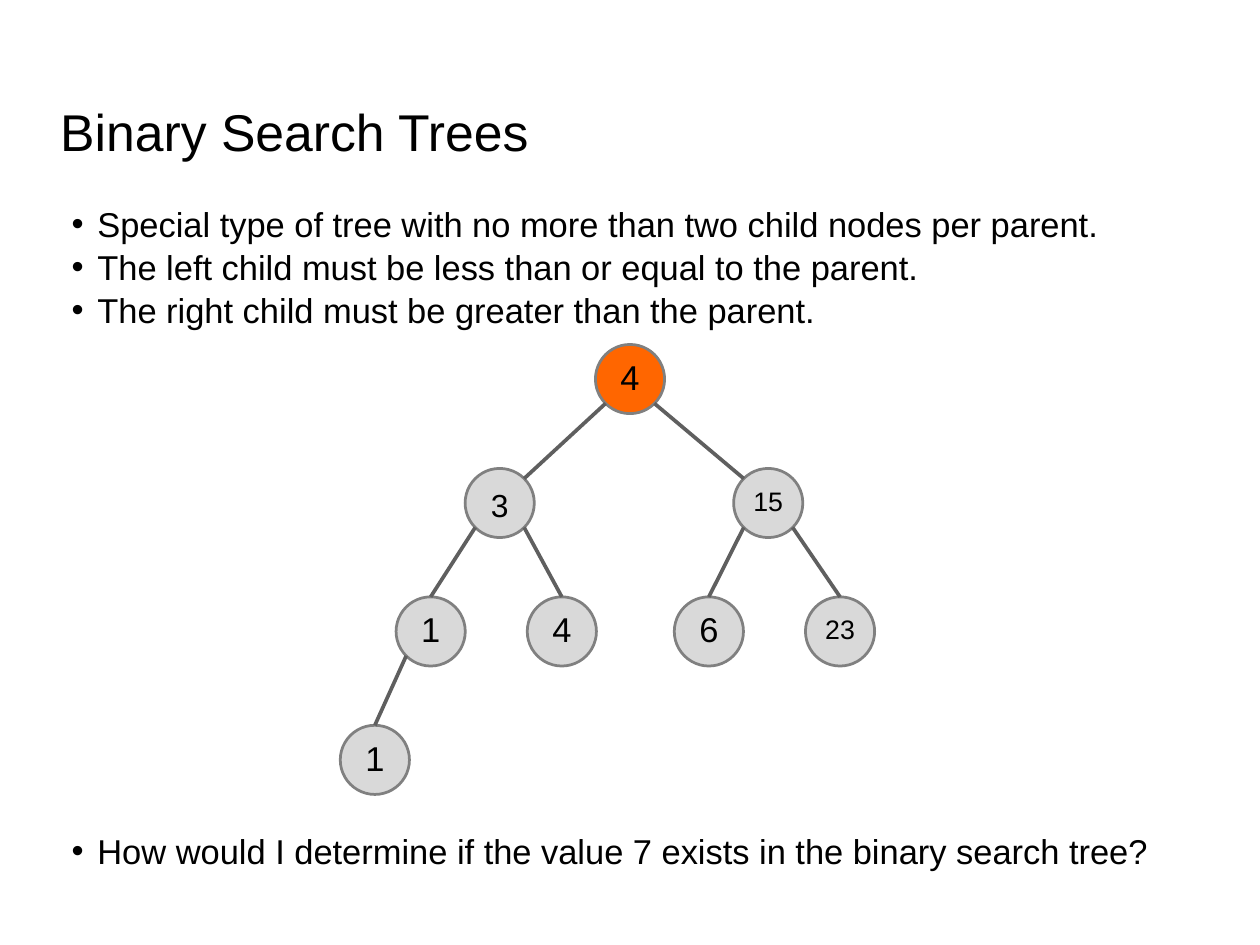
from dataclasses import dataclass
from math import sqrt

from lxml import etree
from pptx import Presentation
from pptx.dml.color import RGBColor
from pptx.enum.shapes import MSO_CONNECTOR, MSO_SHAPE
from pptx.enum.text import MSO_ANCHOR, MSO_AUTO_SIZE, PP_ALIGN
from pptx.oxml.ns import qn
from pptx.util import Inches, Pt

OVAL = MSO_SHAPE.OVAL
STRAIGHT = MSO_CONNECTOR.STRAIGHT
LEFT, CENTER = PP_ALIGN.LEFT, PP_ALIGN.CENTER
TOP, MIDDLE, BOTTOM = MSO_ANCHOR.TOP, MSO_ANCHOR.MIDDLE, MSO_ANCHOR.BOTTOM
NO_AUTOFIT = MSO_AUTO_SIZE.NONE

BLACK = RGBColor(0x00, 0x00, 0x00)
ORANGE = RGBColor(0xFF, 0x66, 0x00)
LIGHT_GREY = RGBColor(0xD9, 0xD9, 0xD9)
OUTLINE_GREY = RGBColor(0x80, 0x80, 0x80)
EDGE_GREY = RGBColor(0x5F, 0x5F, 0x5F)

FONT = "Arial"
SLIDE_W, SLIDE_H = Inches(14.22), Inches(10.67)
INSET = Inches(0.06)
BULLET_INDENT = Inches(0.29)
LINE_GAP = 1.5      # points between list lines
TREE_GAP = 405.8    # points kept free for the tree


def across(percent: float) -> int:
    """Length as a percentage of the slide's width."""
    return round(SLIDE_W * percent / 100)


def down(percent: float) -> int:
    """Length as a percentage of the slide's height."""
    return round(SLIDE_H * percent / 100)


DIAMETER = across(5.49)
RADIUS = DIAMETER // 2
DIAGONAL = round(RADIUS / sqrt(2))
LEVELS = [down(share) for share in (40.11, 53.23, 66.82, 80.41)]


@dataclass
class Node:
    value: str
    column: float
    level: int
    parent: "Node | None" = None
    size: float = 28
    spacing: float = 0.9

    @property
    def center(self) -> tuple[int, int]:
        return across(self.column), LEVELS[self.level]


@dataclass
class Bullet:
    text: str
    space_before: float = LINE_GAP


# Content
root = Node("4", 50, 0)
three = Node("3", 39.66, 1, root, size=25.9, spacing=1.1)
fifteen = Node("15", 60.97, 1, root, size=21.7)
left_one = Node("1", 34.18, 2, three)
TREE = [
    root, three, fifteen, left_one,
    Node("4", 44.59, 2, three),
    Node("6", 56.26, 2, fifteen),
    Node("23", 66.67, 2, fifteen, size=21.7, spacing=0.8),
    Node("1", 29.75, 3, left_one),
]
BULLETS = [
    Bullet("Special type of tree with no more than two child nodes per parent."),
    Bullet("The left child must be less than or equal to the parent."),
    Bullet("The right child must be greater than the parent."),
    Bullet("How would I determine if the value 7 exists in the binary search tree?",
           TREE_GAP),
]


def write(paragraph, text: str, *, size: float = 28, align=LEFT,
          spacing: float = 1.0, before: float = 0) -> None:
    run = paragraph.add_run()
    run.text = text
    run.font.name = FONT
    run.font.size = Pt(size)
    run.font.color.rgb = BLACK
    paragraph.alignment = align
    paragraph.line_spacing = spacing
    paragraph.space_before = Pt(before)
    paragraph.space_after = Pt(0)


def set_frame(frame, anchor, inset: int, wrap: bool = True) -> None:
    frame.auto_size = NO_AUTOFIT
    frame.word_wrap = wrap
    frame.vertical_anchor = anchor
    frame.margin_left = frame.margin_right = inset
    frame.margin_top = frame.margin_bottom = inset


def place(shape, left: int, top: int, width: int, height: int) -> None:
    shape.left, shape.top, shape.width, shape.height = left, top, width, height


def add_heading(slide, text: str) -> None:
    heading = slide.shapes.title
    place(heading, across(4.36), 0, across(91.21), down(17.71))
    set_frame(heading.text_frame, BOTTOM, INSET)
    write(heading.text_frame.paragraphs[0], text, size=42)


def add_bullets(slide, bullets: list[Bullet]) -> None:
    body = slide.placeholders[1]
    place(body, across(5.27), down(20.9), across(91.21), down(19.68))
    frame = body.text_frame
    set_frame(frame, TOP, INSET)
    for index, bullet in enumerate(bullets):
        paragraph = frame.add_paragraph() if index else frame.paragraphs[0]
        write(paragraph, bullet.text, before=bullet.space_before)
        properties = paragraph._p.get_or_add_pPr()
        properties.set("marL", str(BULLET_INDENT))
        properties.set("indent", str(-BULLET_INDENT))


def add_node(slide, node: Node) -> None:
    x, y = node.center
    circle = slide.shapes.add_shape(OVAL, x - RADIUS, y - RADIUS, DIAMETER, DIAMETER)
    circle.shadow.inherit = False
    circle.fill.solid()
    circle.fill.fore_color.rgb = LIGHT_GREY if node.parent else ORANGE
    circle.line.color.rgb = OUTLINE_GREY
    circle.line.width = Pt(2.25)
    set_frame(circle.text_frame, MIDDLE, 0, wrap=False)
    write(circle.text_frame.paragraphs[0], node.value, size=node.size,
          align=CENTER, spacing=node.spacing)


def add_edge(slide, parent: Node, child: Node) -> None:
    parent_x, parent_y = parent.center
    child_x, child_y = child.center
    side = DIAGONAL if child_x > parent_x else -DIAGONAL
    # Children of the root are met on the inner diagonal, the rest at the top
    if parent.parent is None:
        end_x, end_y = child_x - side, child_y - DIAGONAL
    else:
        end_x, end_y = child_x, child_y - RADIUS
    edge = slide.shapes.add_connector(
        STRAIGHT, parent_x + side, parent_y + DIAGONAL, end_x, end_y)
    edge.line.color.rgb = EDGE_GREY
    edge.line.width = Pt(3)
    etree.SubElement(edge._element.spPr, qn("a:effectLst"))


def main() -> None:
    deck = Presentation()
    deck.slide_width, deck.slide_height = SLIDE_W, SLIDE_H
    slide = deck.slides.add_slide(deck.slide_layouts[1])

    # Title and list
    add_heading(slide, "Binary Search Trees")
    add_bullets(slide, BULLETS)

    # Tree
    for node in TREE:
        add_node(slide, node)
    for node in TREE:
        if node.parent:
            add_edge(slide, node.parent, node)

    deck.save("out.pptx")


if __name__ == "__main__":
    main()
